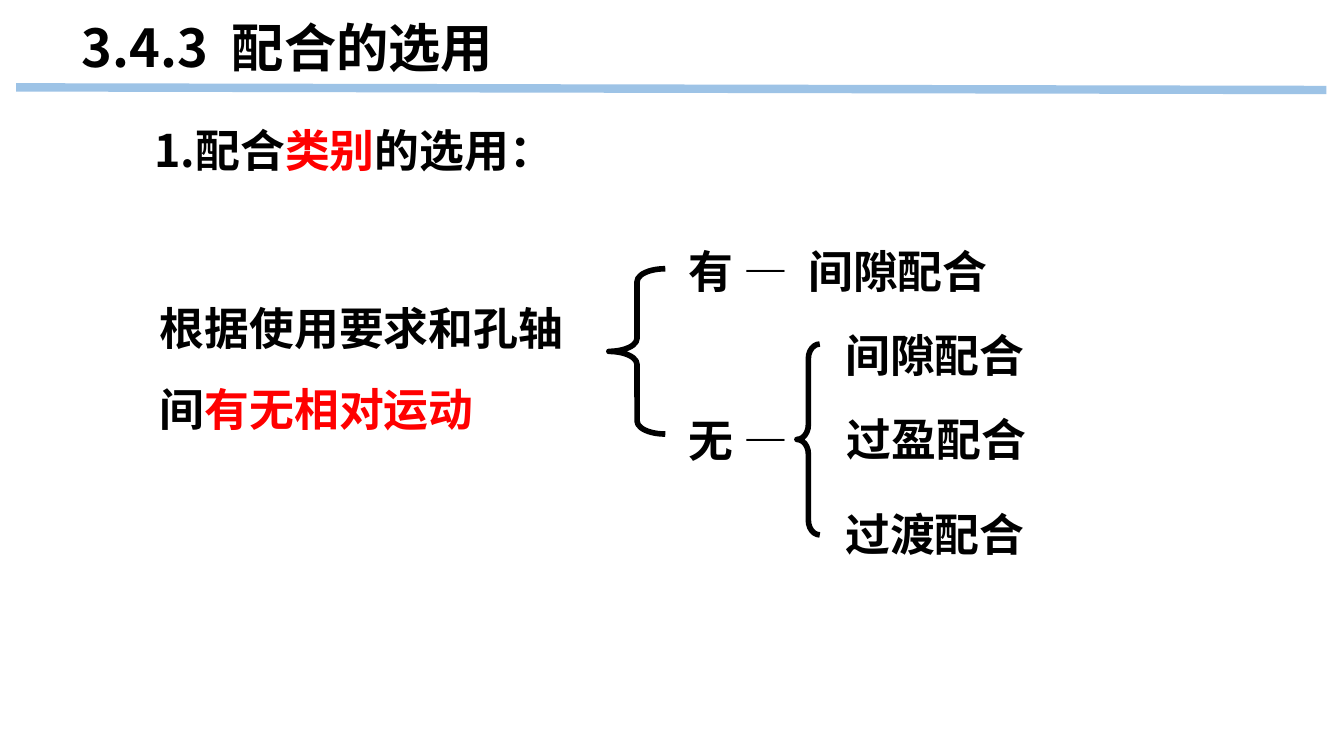
from pptx import Presentation
from pptx.dml.color import RGBColor
from pptx.enum.shapes import MSO_CONNECTOR as CONNECTOR, MSO_SHAPE as SHAPE
from pptx.oxml.ns import qn
from pptx.util import Inches, Pt
from lxml import etree

BLACK, RED, BLUE = "000000", "FF0000", "9DC3E6"
SANS, SERIF = "Noto Sans CJK SC", "Times New Roman"


def color(value):
    return RGBColor.from_string(value)


def add_text(box, lines, font_name=SERIF, size=24, inset=(0.09, 0.04), spacing=None):
    """Each line is a list of (text, color) runs."""
    shape = slide.shapes.add_textbox(*map(Inches, box))
    frame = shape.text_frame
    side, top = map(Inches, inset)
    frame_format = {"word_wrap": True, "margin_left": side, "margin_right": side,
                    "margin_top": top, "margin_bottom": top}
    for name, value in frame_format.items():
        setattr(frame, name, value)
    for index, line in enumerate(lines):
        paragraph = frame.paragraphs[0] if index == 0 else frame.add_paragraph()
        paragraph.line_spacing = spacing
        for text, run_color in line:
            run = paragraph.add_run()
            run.text = text
            run_format = {"name": font_name, "size": Pt(size), "bold": True}
            for name, value in run_format.items():
                setattr(run.font, name, value)
            run.font.color.rgb = color(run_color)
            east_asian = etree.SubElement(run.font._element, qn("a:ea"))
            east_asian.set("typeface", SANS)


# Widescreen 16:9 page
presentation = Presentation()
presentation.slide_width = Inches(10)
presentation.slide_height = Inches(10 * 9 / 16)
slide = presentation.slides.add_slide(presentation.slide_layouts[6])

# Title and rule below it
rule = slide.shapes.add_connector(
    CONNECTOR.STRAIGHT, Inches(0.12), Inches(0.65), Inches(9.87), Inches(0.67))
rule.line.color.rgb = color(BLUE)
rule.line.width = Pt(4.5)
etree.SubElement(rule._element.spPr, qn("a:effectLst"))
add_text((0.52, 0.07, 5.64, 0.56), [[("3.4.3  配合的选用", BLACK)]], SANS, 28)

# Criterion at the root of the tree
wide_inset = (0.13, 0.06)
add_text((1.06, 1.98, 3.27, 1.34),
         [[("根据使用要求和孔轴", BLACK)], [("间", BLACK), ("有无相对运动", RED)]],
         inset=wide_inset, spacing=1.5)

# Braces
for box, curve in [((4.53, 2, 0.42, 1.23), 0.23), ((5.93, 2.56, 0.17, 1.42), 0.64)]:
    brace = slide.shapes.add_shape(SHAPE.LEFT_BRACE, *map(Inches, box))
    brace.adjustments[0] = curve
    brace.shadow.inherit = False
    brace.fill.background()
    brace.line.color.rgb = color(BLACK)
    brace.line.width = Pt(3)

# Branches: with and without relative motion
add_text((5.03, 1.77, 2.5, 0.49), [[("有 —  间隙配合", BLACK)]])
add_text((4.99, 3.01, 1.39, 0.53), [[("无 —", BLACK)]], inset=wide_inset)

# Section heading
add_text((1.06, 0.87, 4.54, 0.49),
         [[("1.配合", BLACK), ("类别", RED), ("的选用：", BLACK)]], SANS)

# Fits without relative motion
for left, top, width, fit in [(6.2, 2.4, 2.73, "间隙配合"),
                              (6.21, 3.02, 2.62, "过盈配合"),
                              (6.2, 3.73, 1.74, "过渡配合")]:
    add_text((left, top, width, 0.49), [[(fit, BLACK)]])

presentation.save("out.pptx")
